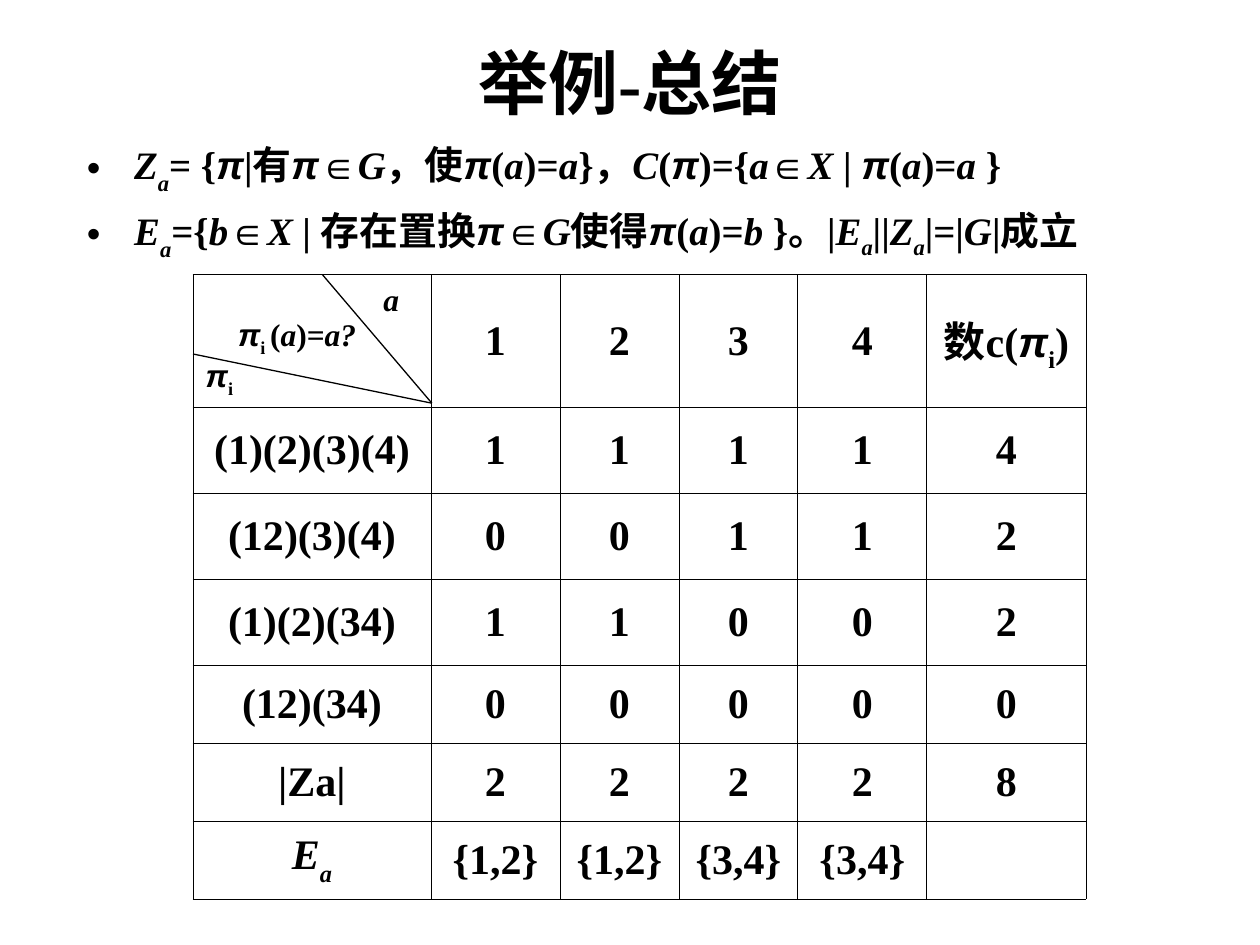
import itertools

import pptx
import pptx.dml.color
import pptx.enum.shapes
import pptx.enum.text
import pptx.oxml
import pptx.oxml.ns
import pptx.util

Pt = pptx.util.Pt
ALIGN = pptx.enum.text.PP_ALIGN
MIDDLE = pptx.enum.text.MSO_ANCHOR.MIDDLE
BLACK = "000000"
SERIF, SANS = "Times New Roman", "Arial"
SUBSCRIPTS = {"_": -25000, "~": -30000}

DEFINITIONS = [
    "*Z~a~*= {π|有π∈*G*，使π(*a*)=*a*}，*C*(π)={*a*∈*X* | π(*a*)=*a *}",
    "*E~a~*={*b*∈*X | *存在置换π∈*G*使得π(*a*)=*b *}。|*E_a_*||*Z_a_*|=|*G*|成立",
]
CORNER = [("*a*", 101.5), ("π_i _(*a*)=*a?*", 18.5), ("π_i_", 0)]
ROWS = [
    ["", "1", "2", "3", "4", "数c(π_i_)"],
    ["(1)(2)(3)(4)", "1", "1", "1", "1", "4"],
    ["(12)(3)(4)", "0", "0", "1", "1", "2"],
    ["(1)(2)(34)", "1", "1", "0", "0", "2"],
    ["(12)(34)", "0", "0", "0", "0", "0"],
    ["|Za|", "2", "2", "2", "2", "8"],
    ["*E~a~*", "{1,2}", "{1,2}", "{3,4}", "{3,4}", ""],
]
COLUMN_WIDTHS = [136, 73.7, 68, 68, 73.7, 91]
ROW_HEIGHTS = [76, 49, 49, 49, 44.6, 44.6, 44.6]
TABLE_LEFT, TABLE_TOP = 110.3, 157


def color(value):
    return pptx.dml.color.RGBColor.from_string(value)


def styled_characters(markup):
    italic, baseline = False, 0
    for char in markup:
        if char == "*":
            italic = not italic
        elif char in SUBSCRIPTS:
            baseline = 0 if baseline else SUBSCRIPTS[char]
        elif char in "π∈":
            yield char, (SANS, char == "π", baseline)
        else:
            yield char, (SERIF, italic, baseline)


def write_math(paragraph, markup, size, align=None):
    font = paragraph.font
    font.name, font.size, font.bold = SERIF, Pt(size), True
    font.color.rgb = color(BLACK)
    paragraph.alignment = align
    styled = styled_characters(markup)
    for (family, italic, baseline), group in itertools.groupby(styled, lambda pair: pair[1]):
        run = paragraph.add_run()
        run.text = "".join(char for char, _ in group)
        run.font.italic = italic
        if family != SERIF:
            run.font.name = family
        if baseline:
            run._r.get_or_add_rPr().set("baseline", str(baseline))


def write_paragraphs(frame, count):
    return [frame.paragraphs[0]] + [frame.add_paragraph() for _ in range(count - 1)]


def place(placeholder, left, top, width, height):
    placeholder.left, placeholder.top = Pt(left), Pt(top)
    placeholder.width, placeholder.height = Pt(width), Pt(height)
    placeholder.text_frame.auto_size = pptx.enum.text.MSO_AUTO_SIZE.NONE
    return placeholder.text_frame


def add_heading(slide):
    heading = place(slide.shapes.title, 36, 21.6, 648, 49.7)
    heading.vertical_anchor = MIDDLE
    write_math(heading.paragraphs[0], "举例-总结", 40, ALIGN.CENTER)


def add_definitions(slide):
    definitions = place(slide.placeholders[1], 42.5, 77, 648, 85)
    for paragraph, markup in zip(write_paragraphs(definitions, len(DEFINITIONS)), DEFINITIONS):
        paragraph.space_before = Pt(6)
        write_math(paragraph, markup, 22.2)


def border_cell(cell, width):
    properties = cell._tc.get_or_add_tcPr()
    for side in "LRTB":
        properties.append(pptx.oxml.parse_xml(
            f'<a:ln{side} {pptx.oxml.ns.nsdecls("a")} w="{Pt(width)}"><a:solidFill>'
            f'<a:srgbClr val="{BLACK}"/></a:solidFill></a:ln{side}>'))
    cell.fill.background()


def write_corner(cell):
    for paragraph, (markup, indent) in zip(write_paragraphs(cell.text_frame, len(CORNER)), CORNER):
        write_math(paragraph, markup, 18, ALIGN.LEFT)
        paragraph._p.get_or_add_pPr().set("marL", str(Pt(indent)))


def add_fixed_points_table(slide):
    table = slide.shapes.add_table(
        len(ROWS), len(COLUMN_WIDTHS), Pt(TABLE_LEFT), Pt(TABLE_TOP),
        Pt(sum(COLUMN_WIDTHS)), Pt(sum(ROW_HEIGHTS))).table
    table.first_row = table.horz_banding = False
    for column, width in zip(table.columns, COLUMN_WIDTHS):
        column.width = Pt(width)
    for row, height, entries in zip(table.rows, ROW_HEIGHTS, ROWS):
        row.height = Pt(height)
        for cell, markup in zip(row.cells, entries):
            cell.vertical_anchor = MIDDLE
            border_cell(cell, 0.45)
            if markup:
                write_math(cell.text_frame.paragraphs[0], markup, 24, ALIGN.CENTER)
    count_header = table.cell(0, len(COLUMN_WIDTHS) - 1)
    count_header.margin_left = count_header.margin_right = Pt(2.9)
    write_corner(table.cell(0, 0))


def add_divider(slide, start_x, start_y, end_x, end_y):
    divider = slide.shapes.add_connector(
        pptx.enum.shapes.MSO_CONNECTOR.STRAIGHT,
        Pt(start_x), Pt(start_y), Pt(end_x), Pt(end_y))
    divider.line.color.rgb = color(BLACK)
    divider.line.width = Pt(0.75)
    divider._element.spPr.append(
        pptx.oxml.parse_xml(f'<a:effectLst {pptx.oxml.ns.nsdecls("a")}/>'))


def main():
    deck = pptx.Presentation()
    deck.slide_width, deck.slide_height = Pt(720), Pt(540)
    slide = deck.slides.add_slide(deck.slide_layouts[1])
    add_heading(slide)
    add_definitions(slide)
    add_fixed_points_table(slide)
    for start_x, start_y in [(184.3, TABLE_TOP), (TABLE_LEFT, 202.3)]:
        add_divider(slide, start_x, start_y, 246.8, 230.4)
    deck.save("out.pptx")


if __name__ == "__main__":
    main()
